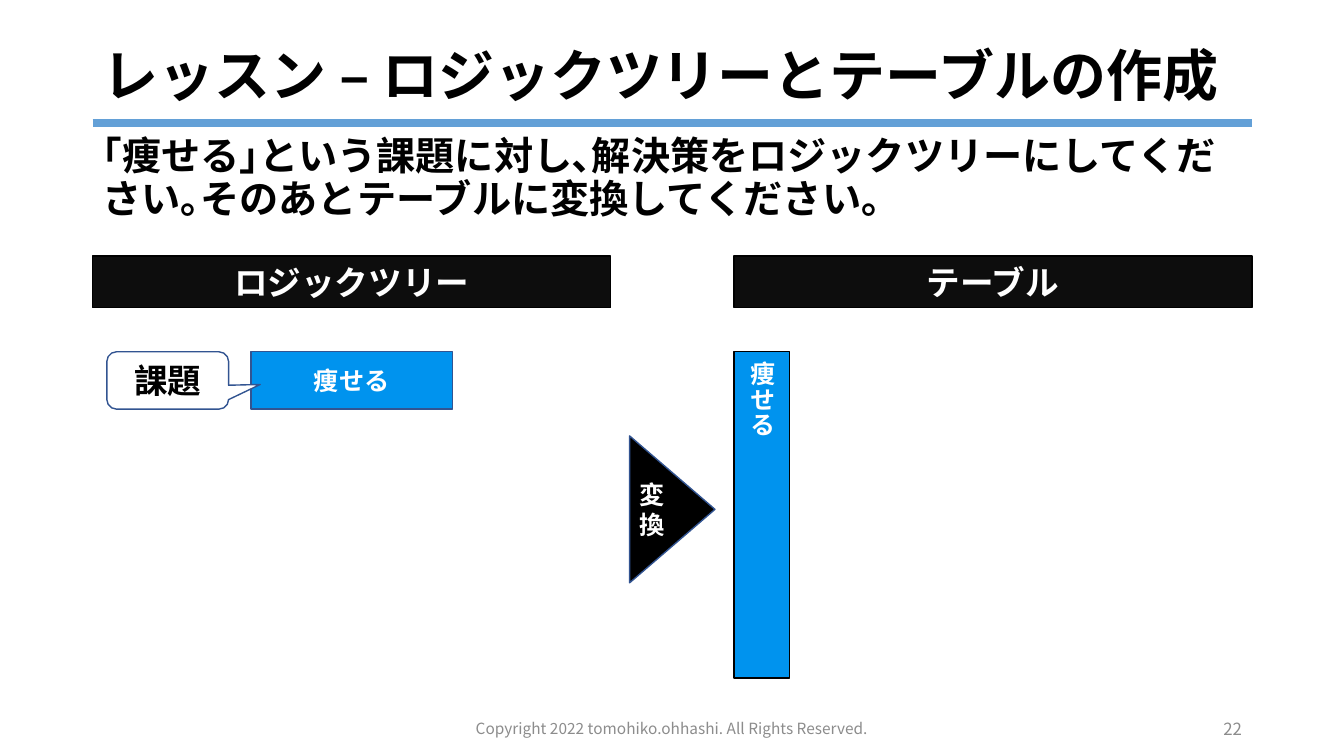
from dataclasses import dataclass

import pptx
import pptx.dml.color
import pptx.enum.shapes
import pptx.enum.text
import pptx.oxml
import pptx.oxml.ns
import pptx.util

Pt = pptx.util.Pt
Align = pptx.enum.text.PP_ALIGN
Anchor = pptx.enum.text.MSO_ANCHOR
Shape = pptx.enum.shapes.MSO_SHAPE


@dataclass(frozen=True)
class Theme:
    font: str = "Noto Sans CJK JP"
    black: str = "000000"
    white: str = "FFFFFF"
    heading: str = "0D0D0D"
    accent: str = "0093EE"
    outline: str = "325491"
    rule: str = "63A0D7"
    muted: str = "8C8C8C"
    title_size: int = 40
    lead_size: int = 28
    heading_size: int = 24
    label_size: int = 18
    number_size: int = 12
    footer_size: int = 11


THEME = Theme()
LEFT, RIGHT = 66.24, 894.24
PANEL_WIDTH = 370
HEADING_TOP, CONTENT_TOP = 182.88, 251.28
NODE_HEIGHT = 41
FOOTER_TOP, FOOTER_HEIGHT = 511.2, 18


def rgb(value):
    return pptx.dml.color.RGBColor.from_string(value)


def points(lengths):
    return [Pt(length) for length in lengths]


def write(box, text, size, color, align, bold=True, anchor=Anchor.MIDDLE, spacing=None):
    frame = box.text_frame
    frame.word_wrap = True
    frame.vertical_anchor = anchor
    para = frame.paragraphs[0]
    para.alignment = align
    if spacing:
        para.line_spacing = spacing
    span = para.add_run()
    span.text = text
    span.font.name = THEME.font
    span.font.size = Pt(size)
    span.font.bold = bold
    span.font.color.rgb = rgb(color)
    east_asian = pptx.oxml.parse_xml(
        f'<a:ea {pptx.oxml.ns.nsdecls("a")} typeface="{THEME.font}"/>')
    span.font._element.find(pptx.oxml.ns.qn("a:latin")).addnext(east_asian)


def add_text(page, area, text, size, color, align=Align.LEFT, **style):
    box = page.shapes.add_textbox(*points(area))
    write(box, text, size, color, align, **style)


def add_block(page, kind, area, text, size, fill, line, color=THEME.white,
              direction=None, align=Align.CENTER):
    block = page.shapes.add_shape(kind, *points(area))
    block.shadow.inherit = False
    block.fill.solid()
    block.fill.fore_color.rgb = rgb(fill)
    block.line.color.rgb = rgb(line)
    block.line.width = Pt(1)
    write(block, text, size, color, align)
    if direction:
        block.text_frame._txBody.bodyPr.set("vert", direction)
    return block


def add_rule(page, left, right, top):
    rule = page.shapes.add_connector(
        pptx.enum.shapes.MSO_CONNECTOR.STRAIGHT, *points((left, top, right, top)))
    rule.line.color.rgb = rgb(THEME.rule)
    rule.line.width = Pt(6)
    rule._element.spPr.append(
        pptx.oxml.parse_xml(f'<a:effectLst {pptx.oxml.ns.nsdecls("a")}/>'))


def add_header(page):
    width = RIGHT - LEFT
    add_rule(page, LEFT, RIGHT, 87.84)
    add_text(page, (LEFT, 28.8, width, 54), "レッスン – ロジックツリーとテーブルの作成",
             THEME.title_size, THEME.black, spacing=0.9)
    add_text(page, (LEFT, 94.32, width, 77),
             "｢痩せる｣という課題に対し､解決策をロジックツリーにしてください｡そのあとテーブルに変換してください｡",
             THEME.lead_size, THEME.black, anchor=Anchor.TOP, spacing=0.9)


def add_panel_headings(page):
    for left, text in ((LEFT, "ロジックツリー"), (RIGHT - PANEL_WIDTH, "テーブル")):
        add_block(page, Shape.RECTANGLE, (left, HEADING_TOP, PANEL_WIDTH, 37), text,
                  THEME.heading_size, THEME.heading, THEME.black)


def add_logic_tree(page):
    add_block(page, Shape.RECTANGLE, (179.28, CONTENT_TOP, 144, NODE_HEIGHT), "痩せる",
              THEME.label_size, THEME.accent, THEME.outline)
    callout = add_block(page, Shape.ROUNDED_RECTANGULAR_CALLOUT,
                        (76.32, CONTENT_TOP, 87, NODE_HEIGHT), "課題",
                        THEME.heading_size, THEME.white, THEME.outline, THEME.black)
    for index, value in enumerate((0.76, 0.07, 0.17)):
        callout.adjustments[index] = value


def add_conversion(page):
    triangle = add_block(page, Shape.ISOSCELES_TRIANGLE, (427.68, 333.36, 105, 61), "変換",
                         THEME.label_size, THEME.black, THEME.outline, direction="vert270")
    triangle.rotation = 90


def add_table_column(page):
    add_block(page, Shape.RECTANGLE, (524.16, CONTENT_TOP, 40, 233), "痩せる",
              THEME.label_size, THEME.accent, THEME.black, direction="eaVert",
              align=Align.LEFT)


def add_footer(page):
    add_text(page, (307.44, FOOTER_TOP, 345, FOOTER_HEIGHT),
             "Copyright 2022 tomohiko.ohhashi. All Rights Reserved.",
             THEME.footer_size, THEME.muted, Align.CENTER, bold=False)
    add_text(page, (RIGHT - 77, FOOTER_TOP, 77, FOOTER_HEIGHT), "22",
             THEME.number_size, THEME.muted, Align.RIGHT, bold=False)


def main():
    deck = pptx.Presentation()
    deck.slide_width, deck.slide_height = Pt(960), Pt(540)
    page = deck.slides.add_slide(deck.slide_layouts[6])
    add_header(page)
    add_panel_headings(page)
    add_conversion(page)
    add_table_column(page)
    add_logic_tree(page)
    add_footer(page)
    deck.save("out.pptx")


if __name__ == "__main__":
    main()
